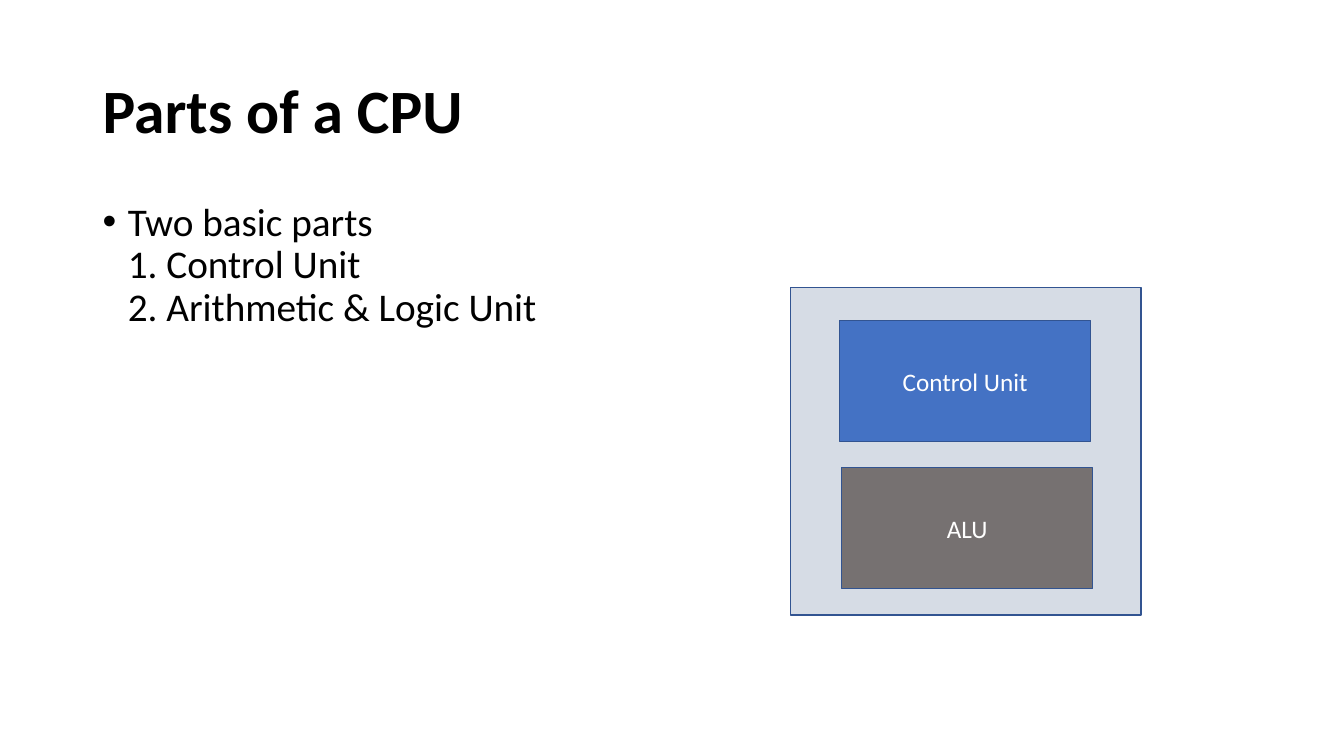
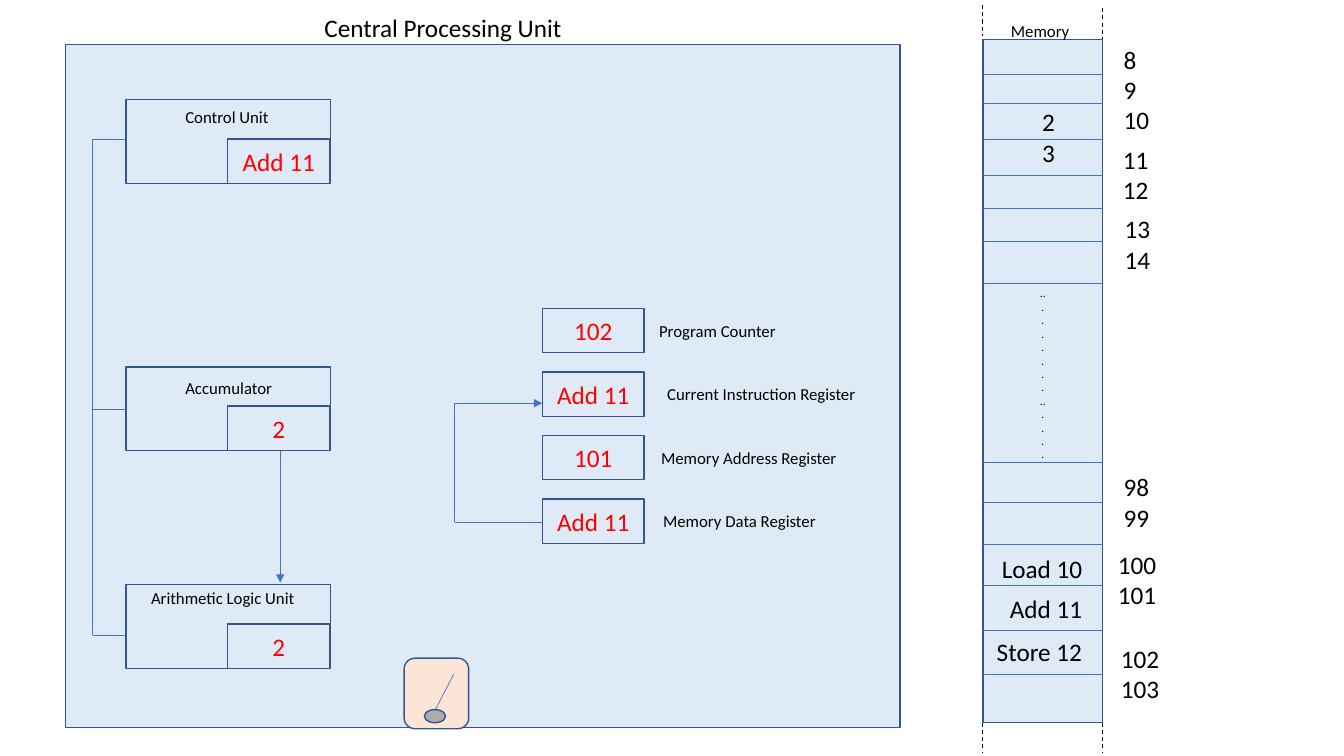
"""Build two slides on the parts of a CPU, laid out on a grid of tenth-inch cells."""
from pptx import Presentation
from pptx.dml.color import RGBColor
from pptx.enum.dml import MSO_LINE
from pptx.enum.shapes import MSO_CONNECTOR, MSO_SHAPE as SHAPE
from pptx.enum.text import MSO_ANCHOR as ANCHOR, MSO_AUTO_SIZE, PP_ALIGN
from pptx.oxml.ns import qn
from pptx.util import Inches, Pt
from lxml.etree import SubElement

FONT = "Calibri"
BLACK, WHITE, RED = "000000", "FFFFFF", "FF0000"
BLUE, OUTLINE, PALE_BLUE = "4472C4", "325491", "DEEBF7"
CELL = Inches(0.1)
COLUMNS, ROWS = 133.33, 75

color = RGBColor.from_string


def add_box(slide, at, text="", fill=None, size=18, ink=BLACK, kind=SHAPE.RECTANGLE, wrap=False):
    """Add a filled shape with centred text, or a plain text box when there is no fill."""
    left, top, width, height = [round(cells * CELL) for cells in at]
    if fill:
        shape = slide.shapes.add_shape(kind, left, top, width, height)
        shape.shadow.inherit = False
        shape.fill.solid()
        shape.fill.fore_color.rgb = color(fill)
        shape.line.color.rgb = color(OUTLINE)
        shape.line.width = Pt(1)
    else:
        shape = slide.shapes.add_textbox(left, top, width, height)
    frame = shape.text_frame
    frame.word_wrap = wrap or bool(fill)
    if fill:
        frame.vertical_anchor = ANCHOR.MIDDLE
    elif not wrap:
        frame.auto_size = MSO_AUTO_SIZE.SHAPE_TO_FIT_TEXT
    frame.text = text
    for paragraph in frame.paragraphs:
        paragraph.alignment = PP_ALIGN.CENTER if fill else PP_ALIGN.LEFT
        paragraph.font.name = FONT
        paragraph.font.size = Pt(size)
        paragraph.font.color.rgb = color(ink)
    return shape


def add_line(slide, start, end, ink=BLUE, width=0.5, dashed=False, arrow=False):
    """Add a straight connector, optionally dashed or with an arrowhead at its end."""
    ends = [round(cells * CELL) for cells in (*start, *end)]
    line = slide.shapes.add_connector(MSO_CONNECTOR.STRAIGHT, *ends)
    line.line.color.rgb = color(ink)
    line.line.width = Pt(width)
    if dashed:
        line.line.dash_style = MSO_LINE.DASH
    properties = line._element.spPr
    if arrow:
        SubElement(properties.find(qn("a:ln")), qn("a:tailEnd"), type="triangle")
    SubElement(properties, qn("a:effectLst"))


presentation = Presentation()
presentation.slide_width = round(COLUMNS * CELL)
presentation.slide_height = round(ROWS * CELL)
blank = presentation.slide_layouts[6]

parts_slide = presentation.slides.add_slide(blank)
title = add_box(parts_slide, (9.2, 4, 115, 14.5), "Parts of a CPU", size=44, wrap=True)
title.text_frame.vertical_anchor = ANCHOR.MIDDLE
title.text_frame.paragraphs[0].font.bold = True
title.text_frame.paragraphs[0].line_spacing = 0.9

body = add_box(parts_slide, (9.2, 19.6, 115, 47.6), wrap=True)
paragraph = body.text_frame.paragraphs[0]
paragraph.text = "Two basic parts\v1. Control Unit\v2. Arithmetic & Logic Unit"
paragraph.line_spacing = 0.9
bullet_properties = paragraph._p.get_or_add_pPr()
bullet_properties.set("marL", str(Inches(0.25)))
bullet_properties.set("indent", str(-Inches(0.25)))
SubElement(bullet_properties, qn("a:buFont"), typeface="Arial")
SubElement(bullet_properties, qn("a:buChar"), char="•")
paragraph.font.name = FONT
paragraph.font.size = Pt(28)

add_box(parts_slide, (78.4, 28.5, 34.8, 32.5), fill="D6DCE5")
for left, top, name, fill in [(83.3, 31.8, "Control Unit", BLUE), (83.5, 46.4, "ALU", "767171")]:
    add_box(parts_slide, (left, top, 24.9, 12), name, fill, ink=WHITE)

cpu_slide = presentation.slides.add_slide(blank)
add_box(cpu_slide, (6.5, 4.4, 82.8, 67.8), fill=PALE_BLUE)
add_box(cpu_slide, (31.2, 0.7, 25.8, 4), "Central Processing Unit")

VALUE_WIDTH, VALUE_HEIGHT = 10.1, 4.4
units = [
    (9.9, 13.8, "Control Unit", (17.4, 10.1, 10.4, 3), "Add 11"),
    (36.4, 40.6, "Accumulator", (17.4, 37, 10.7, 3), "2"),
    (58, 63, "Arithmetic Logic Unit", (14, 57.8, 16.4, 3), "2"),
]
BUS = 9.2
for top, bus_row, name, name_at, value in units:
    add_box(cpu_slide, (12.5, top, 20.3, 8.3), fill=PALE_BLUE)
    add_box(cpu_slide, (22.6, top + 3.9, VALUE_WIDTH, VALUE_HEIGHT), value, PALE_BLUE, ink=RED)
    add_box(cpu_slide, name_at, name, size=12)
    add_line(cpu_slide, (BUS, bus_row), (12.5, bus_row))
add_line(cpu_slide, (BUS, units[0][1]), (BUS, units[-1][1]))
add_line(cpu_slide, (27.8, 44.7), (27.8, 57.8), arrow=True)

registers = [
    ("102", "Program Counter", 64.4, 13.7),
    ("Add 11", "Current Instruction Register", 65.2, 20.9),
    ("101", "Memory Address Register", 64.6, 19.6),
    ("Add 11", "Memory Data Register", 64.8, 17.3),
]
for index, (value, name, name_left, name_width) in enumerate(registers):
    top = 30.6 + 6.3 * index
    add_box(cpu_slide, (53.8, top, VALUE_WIDTH, VALUE_HEIGHT), value, PALE_BLUE, ink=RED)
    add_box(cpu_slide, (name_left, top + 0.7, name_width, 3), name, size=12)
add_line(cpu_slide, (53.8, 51.8), (45.1, 51.8))
add_line(cpu_slide, (45.1, 51.8), (45.1, 40))
add_line(cpu_slide, (45.1, 40), (53.8, 40), arrow=True)

MEMORY_LEFT, MEMORY_RIGHT, MEMORY_TOP, MEMORY_BOTTOM = 97.5, 109.4, 3.9, 71.7
dots = "\n".join([".."] + ["."] * 7 + [".."] + ["."] * 4)
memory = add_box(
    cpu_slide,
    (MEMORY_LEFT, MEMORY_TOP, MEMORY_RIGHT - MEMORY_LEFT, MEMORY_BOTTOM - MEMORY_TOP),
    dots, PALE_BLUE, size=8)
memory.text_frame.margin_bottom = Inches(0.19)
for row in (7.4, 10.3, 13.8, 17.4, 20.7, 23.9, 28.1, 45.9, 49.8, 54, 58.1, 62.5, 66.9):
    add_line(cpu_slide, (MEMORY_LEFT, row), (MEMORY_RIGHT, row))
for column, first_row in [(MEMORY_LEFT, 0.5), (MEMORY_RIGHT, 0.8)]:
    for start, end in [(first_row, first_row + 3.1), (MEMORY_BOTTOM, 74.7)]:
        add_line(cpu_slide, (column, start), (column, end), BLACK, 0.75, dashed=True)
add_box(cpu_slide, (99.3, 1.6, 7.9, 3), "Memory", size=12)

memory_labels = [
    (110.5, 3.9, 4.6, 13.1, "8\n9\n10"),
    (110.4, 13.8, 4.6, 7.1, "11\n12"),
    (110.6, 20.7, 4.6, 7.1, "13\n14"),
    (110.5, 46.3, 4.6, 7.1, "98\n99"),
    (109.9, 54, 5.9, 7.1, "100\n101"),
    (110.2, 63.3, 5.9, 7.1, "102\n103"),
    (102.4, 10.1, 3.3, 7.1, "2\n3"),
    (98.4, 54.4, 10.1, 4, "Load 10"),
    (99.2, 58.4, 9.3, 4, "Add 11"),
    (97.9, 62.6, 10.6, 4, "Store 12"),
]
for *at, text in memory_labels:
    add_box(cpu_slide, at, text)

add_box(cpu_slide, (40.1, 65.3, 6.4, 7), fill="FBE5D6", kind=SHAPE.ROUNDED_RECTANGLE)
add_box(cpu_slide, (42.1, 70.4, 2.1, 1.3), fill="AFABAB", kind=SHAPE.OVAL)
add_line(cpu_slide, (43.2, 70.4), (45, 66.9))

presentation.save("out.pptx")
